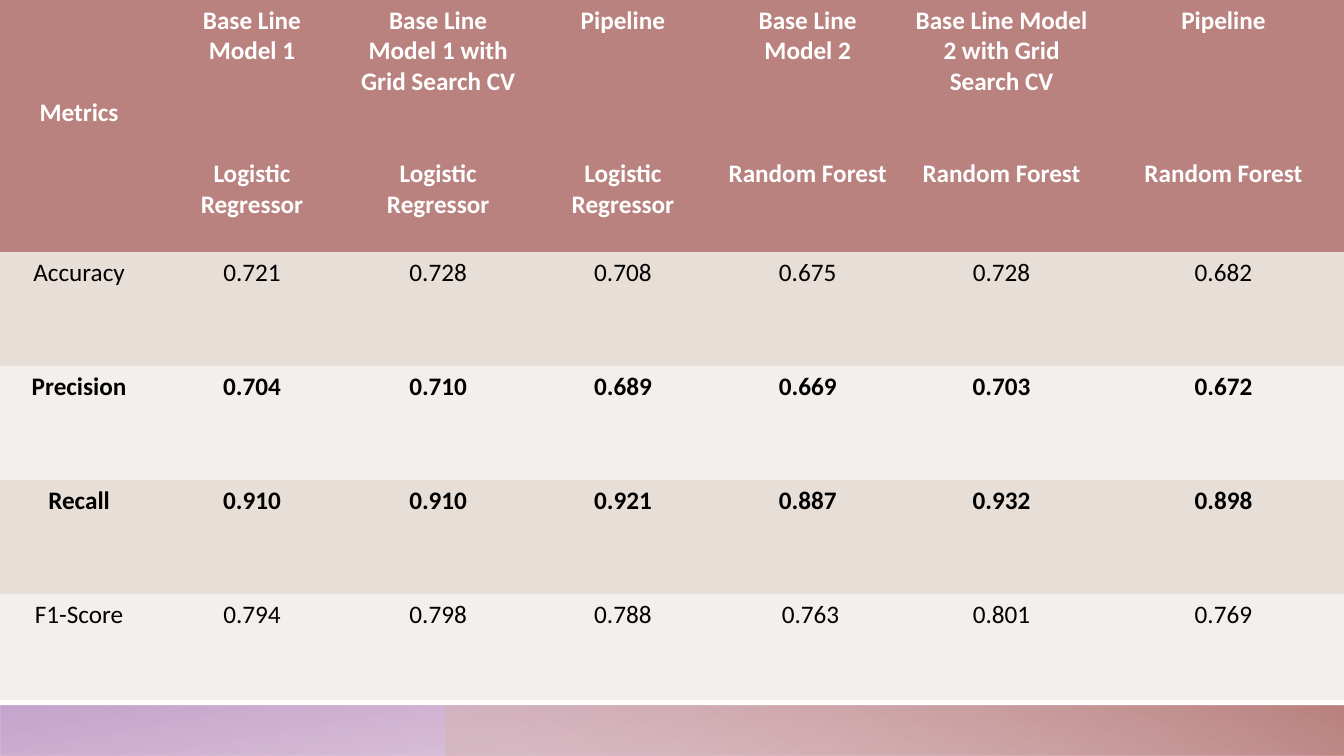
from dataclasses import dataclass

from lxml.etree import SubElement
from pptx import Presentation
from pptx.dml.color import RGBColor
from pptx.enum.shapes import MSO_SHAPE
from pptx.enum.text import PP_ALIGN
from pptx.oxml.ns import qn
from pptx.slide import Slide
from pptx.table import _Cell
from pptx.text.text import _Paragraph
from pptx.util import Pt


@dataclass(frozen=True)
class Theme:
    font: str = "Calibri"
    size: float = 18
    line_height: float = 22
    header_fill: str = "BA827F"
    header_text: str = "FFFFFF"
    body_text: str = "000000"
    bands: tuple[str, str] = ("E7DED8", "F3EFED")


@dataclass(frozen=True)
class GradientStop:
    position: int
    color: str
    opacity: int = 100


@dataclass(frozen=True)
class FooterBand:
    left: float
    width: float
    angle: int
    stops: tuple[GradientStop, ...]
    rotation: int = 0


@dataclass(frozen=True)
class ModelColumn:
    width: float
    model: str
    model_lines: int
    algorithm: str


@dataclass(frozen=True)
class MetricRow:
    height: float
    metric: str
    scores: tuple[str, ...]
    bold: bool = False


THEME = Theme()
SLIDE_WIDTH, SLIDE_HEIGHT = 960, 540
FOOTER_HEIGHT = 36
METRIC_WIDTH, HEADER_HEIGHT = 113, 180
ALGORITHM_LINE = 5  # header line on which every algorithm name starts
METRICS_LINE = 3
CELL_TOP = 3.6

FOOTER_BANDS = (
    FooterBand(0, SLIDE_WIDTH, 100,
               (GradientStop(14, "BA7FAD", 28), GradientStop(100, "BC94C5", 85)), 180),
    FooterBand(318, 642, 240,
               (GradientStop(9, "D6B4B2", 55), GradientStop(99, "BA827F"))),
)
MODELS = (
    ModelColumn(134, "Base Line Model 1", 2, "Logistic Regressor"),
    ModelColumn(132, "Base Line Model 1 with Grid Search CV", 3, "Logistic Regressor"),
    ModelColumn(132, "Pipeline", 1, "Logistic Regressor"),
    ModelColumn(132, "Base Line Model 2", 2, "Random Forest"),
    ModelColumn(145, "Base Line Model 2 with Grid Search CV", 3, "Random Forest"),
    ModelColumn(172, "Pipeline", 1, "Random Forest"),
)
METRICS = (
    MetricRow(81.5, "Accuracy", ("0.721", "0.728", "0.708", "0.675", "0.728", "0.682")),
    MetricRow(81.5, "Precision", ("0.704", "0.710", "0.689", "0.669", "0.703", "0.672"), True),
    MetricRow(81.5, "Recall", ("0.910", "0.910", "0.921", "0.887", "0.932", "0.898"), True),
    MetricRow(75.5, "F1-Score", ("0.794", "0.798", "0.788", " 0.763", "0.801", "0.769")),
)


def write(paragraph: _Paragraph, text: str, *, color: str, bold: bool = False,
          space_after: float = 0) -> None:
    paragraph.alignment = PP_ALIGN.CENTER
    paragraph.space_after = Pt(space_after)
    run = paragraph.add_run()
    run.text = text
    run.font.name = THEME.font
    run.font.size = Pt(THEME.size)
    run.font.bold = bold
    run.font.color.rgb = RGBColor.from_string(color)


def fill_cell(cell: _Cell, color: str) -> None:
    cell.fill.solid()
    cell.fill.fore_color.rgb = RGBColor.from_string(color)


def add_footer_band(slide: Slide, band: FooterBand) -> None:
    shape = slide.shapes.add_shape(
        MSO_SHAPE.RECTANGLE, Pt(band.left), Pt(SLIDE_HEIGHT - FOOTER_HEIGHT),
        Pt(band.width), Pt(FOOTER_HEIGHT))
    shape.shadow.inherit = False
    shape.line.fill.background()
    shape.rotation = band.rotation
    shape.fill.gradient()
    properties = shape._element.spPr
    properties.find(qn("a:xfrm")).set("flipH", "1")

    # Gradient with opacity
    gradient = properties.find(qn("a:gradFill"))
    for child in list(gradient):
        gradient.remove(child)
    stop_list = SubElement(gradient, qn("a:gsLst"))
    for stop in band.stops:
        mark = SubElement(stop_list, qn("a:gs"), pos=str(stop.position * 1000))
        color = SubElement(mark, qn("a:srgbClr"), val=stop.color)
        SubElement(color, qn("a:alpha"), val=str(stop.opacity * 1000))
    SubElement(gradient, qn("a:lin"), ang=str(band.angle * 60000), scaled="0")


def add_metrics_table(slide: Slide) -> None:
    widths = [METRIC_WIDTH] + [model.width for model in MODELS]
    heights = [HEADER_HEIGHT] + [row.height for row in METRICS]
    table = slide.shapes.add_table(
        len(heights), len(widths), Pt(0), Pt(0), Pt(sum(widths)), Pt(sum(heights))).table
    table.first_row = table.horz_banding = False
    # Table style without grid lines
    style = table._tbl.tblPr.find(qn("a:tableStyleId"))
    style.text = "{2D5ABB26-0587-4C30-8999-92F81FD0307C}"
    for column, width in zip(table.columns, widths):
        column.width = Pt(width)
    for row, height in zip(table.rows, heights):
        row.height = Pt(height)

    # Header row
    corner = table.cell(0, 0)
    fill_cell(corner, THEME.header_fill)
    corner.margin_top = Pt(CELL_TOP + METRICS_LINE * THEME.line_height)
    write(corner.text_frame.paragraphs[0], "Metrics", color=THEME.header_text, bold=True)
    for index, model in enumerate(MODELS, 1):
        cell = table.cell(0, index)
        fill_cell(cell, THEME.header_fill)
        gap = (ALGORITHM_LINE - model.model_lines) * THEME.line_height
        write(cell.text_frame.paragraphs[0], model.model,
              color=THEME.header_text, bold=True, space_after=gap)
        write(cell.text_frame.add_paragraph(), model.algorithm,
              color=THEME.header_text, bold=True)

    # Metric rows
    for index, row in enumerate(METRICS):
        for column, text in enumerate((row.metric, *row.scores)):
            cell = table.cell(index + 1, column)
            fill_cell(cell, THEME.bands[index % 2])
            write(cell.text_frame.paragraphs[0], text, color=THEME.body_text, bold=row.bold)


def main() -> None:
    deck = Presentation()
    deck.slide_width, deck.slide_height = Pt(SLIDE_WIDTH), Pt(SLIDE_HEIGHT)
    slide = deck.slides.add_slide(deck.slide_layouts[6])
    for band in FOOTER_BANDS:
        add_footer_band(slide, band)
    add_metrics_table(slide)
    deck.save("out.pptx")


if __name__ == "__main__":
    main()
